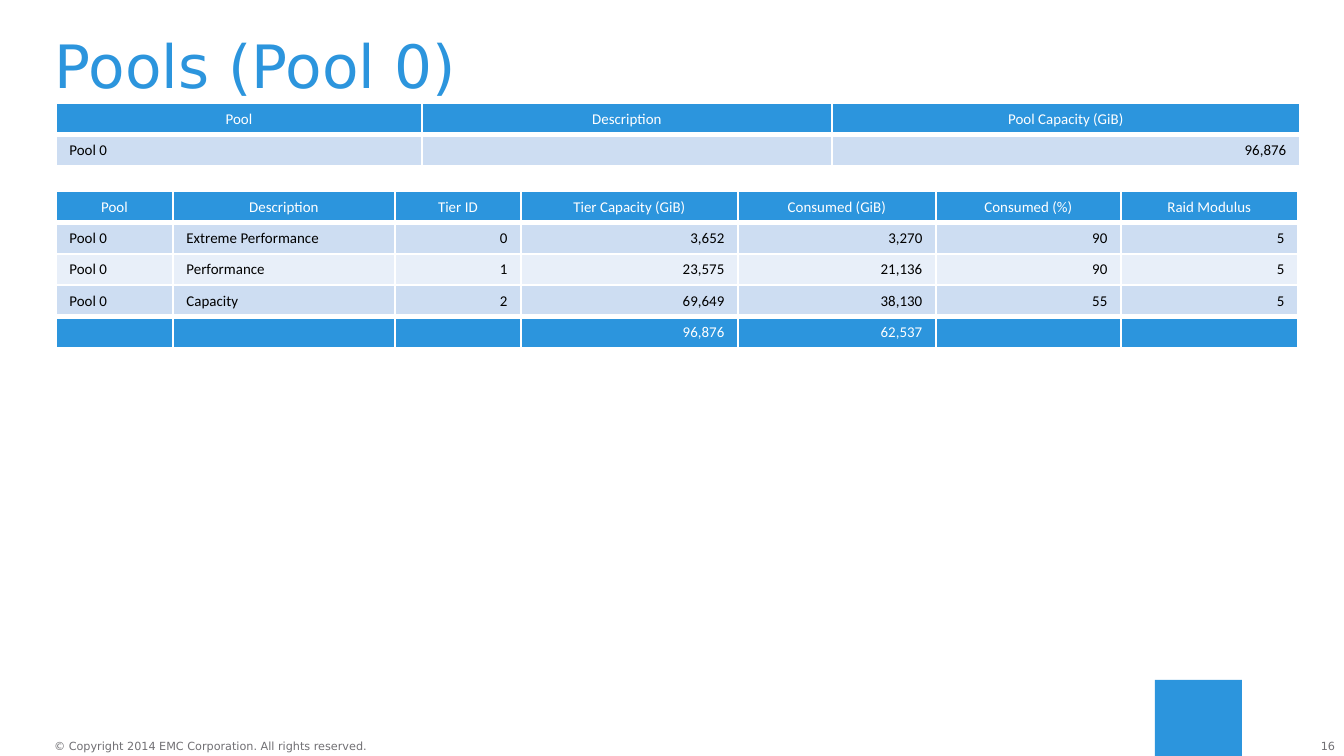
from lxml.etree import SubElement
from pptx import Presentation
from pptx.dml.color import RGBColor
from pptx.enum.shapes import MSO_SHAPE
from pptx.enum.text import MSO_ANCHOR, MSO_AUTO_SIZE, PP_ALIGN
from pptx.oxml.ns import qn
from pptx.util import Emu, Pt

BLUE, WHITE, BLACK, GREY = "2C95DD", "FFFFFF", "000000", "717074"
BANDS = ["CDDDF2", "E8EFF9"]
ROW_H = 31
LEFT, CENTER, RIGHT = PP_ALIGN.LEFT, PP_ALIGN.CENTER, PP_ALIGN.RIGHT

POOLS = [
    ["Pool", "Description", "Pool Capacity (GiB)"],
    ["Pool 0", "", "96,876"],
]
TIERS = [
    ["Pool", "Description", "Tier ID", "Tier Capacity (GiB)",
     "Consumed (GiB)", "Consumed (%)", "Raid Modulus"],
    ["Pool 0", "Extreme Performance", "0", "3,652", "3,270", "90", "5"],
    ["Pool 0", "Performance", "1", "23,575", "21,136", "90", "5"],
    ["Pool 0", "Capacity", "2", "69,649", "38,130", "55", "5"],
    ["", "", "", "96,876", "62,537", "", ""],
]


def px(n):
    return Emu(round(n * 914400 / 134.4))


def box(*lengths):
    return [px(n) for n in lengths]


def rgb(color):
    return RGBColor.from_string(color)


def style(p, font, size, color, align):
    p.alignment = align
    p.font.name, p.font.size = font, Pt(size)
    p.font.color.rgb = rgb(color)


def clear_margins(tf):
    tf.margin_left = tf.margin_top = tf.margin_right = tf.margin_bottom = 0


def add_title(s, text, x, y, w, h):
    sp = s.shapes.title
    sp.left, sp.top, sp.width, sp.height = box(x, y, w, h)
    tf = sp.text_frame
    clear_margins(tf)
    tf.auto_size = MSO_AUTO_SIZE.NONE
    tf.vertical_anchor = MSO_ANCHOR.BOTTOM
    tf.text = text
    p = tf.paragraphs[0]
    p.line_spacing = 0.9
    style(p, "DejaVu Sans", 32, BLUE, LEFT)


def set_borders(cell, top, bottom):
    tcPr = cell._tc.get_or_add_tcPr()
    for side, width in zip("LRTB", (1, 1, top, bottom)):
        ln = SubElement(tcPr, qn(f"a:ln{side}"), w=str(Pt(width)))
        fill = SubElement(ln, qn("a:solidFill"))
        SubElement(fill, qn("a:srgbClr"), val=WHITE)


def add_grid(s, rows, widths, x, y, total=False):
    """Table with a header row, banded body and optional total row."""
    shape = s.shapes.add_table(len(rows), len(widths),
                               *box(x, y, sum(widths), ROW_H * len(rows)))
    table = shape.table
    table.first_row = table.horz_banding = False
    for column, width in zip(table.columns, widths):
        column.width = px(width)
    for i, row in enumerate(rows):
        table.rows[i].height = px(ROW_H)
        header = i == 0
        footer = total and i == len(rows) - 1
        strong = header or footer
        for j, text in enumerate(row):
            cell = table.cell(i, j)
            set_borders(cell, 3 if footer else 1, 3 if header else 1)
            cell.fill.solid()
            cell.fill.fore_color.rgb = rgb(BLUE if strong else BANDS[(i - 1) % 2])
            align = CENTER if header else LEFT if j < 2 else RIGHT
            p = cell.text_frame.paragraphs[0]
            if text:
                p.add_run().text = text
            else:  # keeps an empty cell as low as the others
                SubElement(p._p, qn("a:endParaRPr"), sz="800")
            style(p, "Calibri", 8, WHITE if strong else BLACK, align)


def add_note(s, text, x, y, w, h, align, wrap):
    tf = s.shapes.add_textbox(*box(x, y, w, h)).text_frame
    clear_margins(tf)
    tf.word_wrap = wrap
    tf.text = text
    style(tf.paragraphs[0], "DejaVu Sans", 6, GREY, align)


def add_footer(s, x, y, w, h):
    # Blue square standing on the bottom edge
    sp = s.shapes.add_shape(MSO_SHAPE.RECTANGLE, *box(x + 1101, y, 87, h))
    sp.shadow.inherit = False
    sp.fill.solid()
    sp.fill.fore_color.rgb = rgb(BLUE)
    sp.line.fill.background()
    # Copyright line and page number
    add_note(s, "© Copyright 2014 EMC Corporation. All rights reserved.",
             x, y + 59, 319, 13, LEFT, False)
    add_note(s, "16", x + w - 42, y + 59, 42, 13, RIGHT, True)


def main():
    prs = Presentation()
    prs.slide_width, prs.slide_height = box(1344, 756)
    s = prs.slides.add_slide(prs.slide_layouts[5])
    add_footer(s, 54, 680, 1281, 76)
    add_title(s, "Pools (Pool 0)", 55, 34, 1243, 67)
    add_grid(s, POOLS, [366, 410, 468], 56, 103)
    add_grid(s, TIERS, [117, 222, 126, 217, 198, 185, 177], 56, 191, total=True)
    prs.save("out.pptx")


if __name__ == "__main__":
    main()
